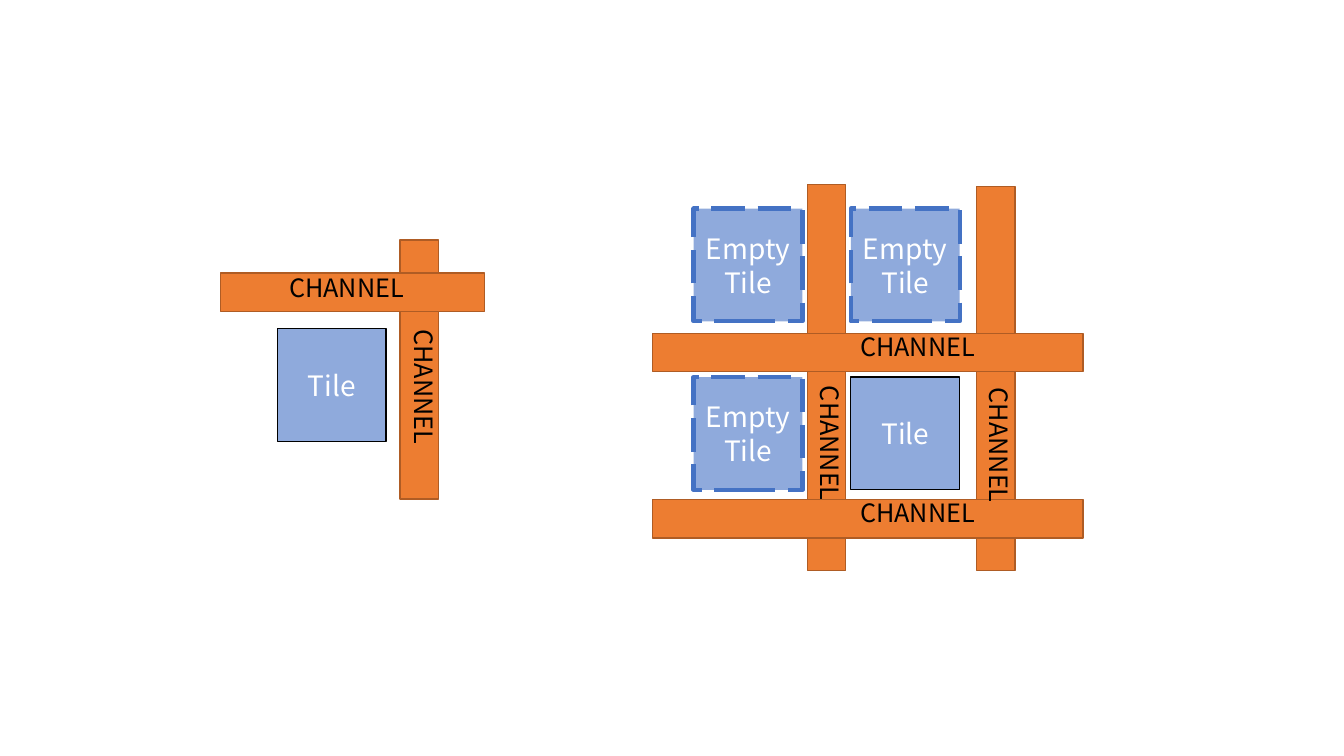
from pptx import Presentation
from pptx.dml.color import RGBColor
from pptx.enum.dml import MSO_LINE
from pptx.enum.shapes import MSO_SHAPE
from pptx.enum.text import MSO_ANCHOR, PP_ALIGN
from pptx.util import Pt

ORANGE = RGBColor(0xED, 0x7D, 0x31)
BROWN = RGBColor(0xAF, 0x5C, 0x24)
LIGHT_BLUE = RGBColor(0x8F, 0xAA, 0xDC)
BLUE = RGBColor(0x44, 0x72, 0xC4)
BLACK = RGBColor(0, 0, 0)
WHITE = RGBColor(0xFF, 0xFF, 0xFF)

CHANNEL_WIDTH = 27.4
TILE_WIDTH, TILE_HEIGHT = 77.8, 80.6
LABEL_LENGTH, LABEL_WIDTH = 104, 36


class Diagram:
    font = "Noto Sans CJK SC"

    def __init__(self, page):
        self.page = page

    def rectangle(self, left, top, width, height, fill, line, weight=1):
        box = self.page.shapes.add_shape(
            MSO_SHAPE.RECTANGLE, Pt(left), Pt(top), Pt(width), Pt(height))
        box.shadow.inherit = False
        box.fill.solid()
        box.fill.fore_color.rgb = fill
        box.line.color.rgb = line
        box.line.width = Pt(weight)
        return box

    def set_text(self, box, text, size, color, alignment):
        box.text_frame.word_wrap = True
        box.text_frame.text = text
        for paragraph in box.text_frame.paragraphs:
            paragraph.alignment = alignment
            for span in paragraph.runs:
                span.font.name = self.font
                span.font.size = Pt(size)
                span.font.color.rgb = color

    def vertical_channel(self, left, top, length):
        self.rectangle(left, top, CHANNEL_WIDTH, length, ORANGE, BROWN)

    def horizontal_channel(self, left, top, length):
        self.rectangle(left, top, length, CHANNEL_WIDTH, ORANGE, BROWN)

    def tile(self, left, top, empty=False):
        line, weight = (BLUE, 3) if empty else (BLACK, 1)
        box = self.rectangle(
            left, top, TILE_WIDTH, TILE_HEIGHT, LIGHT_BLUE, line, weight)
        if empty:
            box.line.dash_style = MSO_LINE.LONG_DASH
        box.text_frame.vertical_anchor = MSO_ANCHOR.MIDDLE
        self.set_text(box, "Empty\nTile" if empty else "Tile", 20, WHITE, PP_ALIGN.CENTER)

    def label(self, left, top, vertical=False):
        width, height = LABEL_LENGTH, LABEL_WIDTH
        if vertical:
            width, height = height, width
        box = self.page.shapes.add_textbox(Pt(left), Pt(top), Pt(width), Pt(height))
        if vertical:
            box.text_frame._txBody.bodyPr.set("vert", "eaVert")
        self.set_text(box, "CHANNEL", 18, BLACK, PP_ALIGN.LEFT)


deck = Presentation()
deck.slide_width, deck.slide_height = Pt(960), Pt(540)
diagram = Diagram(deck.slides.add_slide(deck.slide_layouts[6]))

diagram.tile(198, 234.7)
diagram.vertical_channel(285.8, 171.4, 185)
diagram.horizontal_channel(157.7, 195.1, 188.6)
diagram.label(199.4, 190.8)
diagram.label(281.5, 228.2, vertical=True)

for left, top in ((576.7, 131.8), (697.7, 133.2)):
    diagram.vertical_channel(left, top, 407.5 - top)
for top in (238, 356.8):
    diagram.horizontal_channel(466.2, top, 307.4)
    diagram.label(607.3, top - 4.8)
for left in (495.4, 607.7):
    for top in (149, 269.3):
        diagram.tile(left, top, empty=(left, top) != (607.7, 269.3))
for left, top in ((571.7, 268.6), (692.6, 270)):
    diagram.label(left, top, vertical=True)

deck.save("out.pptx")
